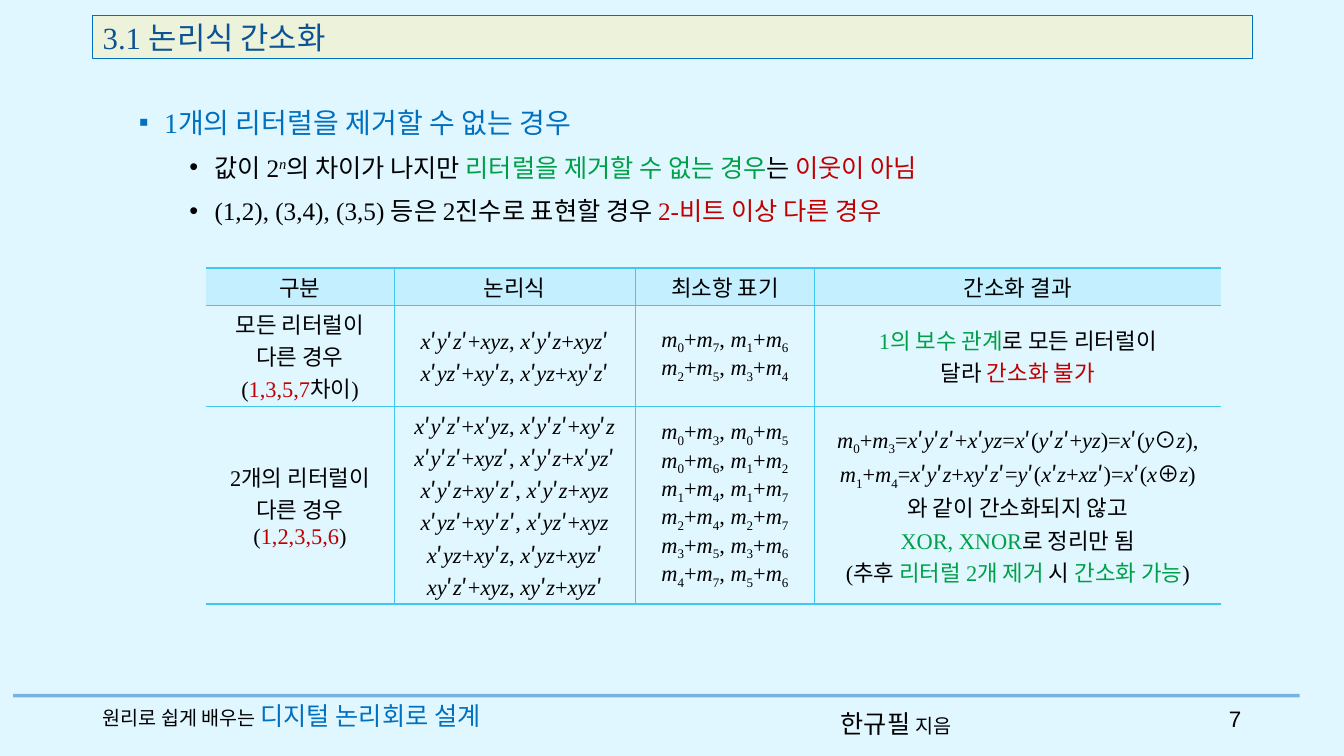
from itertools import groupby

from lxml.etree import SubElement
from pptx import Presentation
from pptx.dml.color import RGBColor
from pptx.enum.shapes import MSO_CONNECTOR, MSO_SHAPE
from pptx.enum.text import MSO_ANCHOR, PP_ALIGN
from pptx.oxml.ns import qn
from pptx.util import Inches, Pt

SERIF = "Times New Roman"
KOREAN = "Noto Sans CJK KR"
BLACK, BLUE, GREEN, RED = "000000", "0070C0", "00A048", "C00000"
RULE = "42C7F1"
THIN, THICK = 0.28, 1.7
TABLE_SIZE = 16

HEADINGS = ["구분", "논리식", "최소항 표기", "간소화 결과"]
ALL_DIFFERENT = [
    [
        [("모든 리터럴이", BLACK)],
        [("다른 경우", BLACK)],
        [("(", BLACK), ("1,3,5,7", RED), ("차이)", BLACK)],
    ],
    ["x′y′z′+xyz, x′y′z+xyz′", "x′yz′+xy′z, x′yz+xy′z′"],
    ["m0+m7, m1+m6", "m2+m5, m3+m4"],
    [
        [("1의 보수 관계", GREEN), ("로 모든 리터럴이", BLACK)],
        [("달라 ", BLACK), ("간소화 불가", RED)],
    ],
]
TWO_DIFFERENT = [
    [
        [("2개의 리터럴이", BLACK)],
        [("다른 경우", BLACK)],
        [("(", BLACK), ("1,2,3,5,6", RED), (")", BLACK)],
    ],
    [
        "x′y′z′+x′yz, x′y′z′+xy′z",
        "x′y′z′+xyz′, x′y′z+x′yz′",
        "x′y′z+xy′z′, x′y′z+xyz",
        "x′yz′+xy′z′, x′yz′+xyz",
        "x′yz+xy′z, x′yz+xyz′",
        "xy′z′+xyz, xy′z+xyz′",
    ],
    [
        "m0+m3, m0+m5",
        "m0+m6, m1+m2",
        "m1+m4, m1+m7",
        "m2+m4, m2+m7",
        "m3+m5, m3+m6",
        "m4+m7, m5+m6",
    ],
    [
        "m0+m3=x′y′z′+x′yz=x′(y′z′+yz)=x′(y⊙z),",
        "m1+m4=x′y′z+xy′z′=y′(x′z+xz′)=x′(x⊕z)",
        [("와 같이 간소화되지 않고", BLACK)],
        [("XOR, XNOR", GREEN), ("로 정리만 됨", BLACK)],
        [("(추후 ", BLACK), ("리터럴 2개 제거", GREEN), (" 시 ", BLACK),
         ("간소화 가능", GREEN), (")", BLACK)],
    ],
]


def rgb(value):
    """Turn a hex string into a colour."""
    return RGBColor.from_string(value)


def add_run(paragraph, text, size, colour, font=SERIF, italic=False, baseline=0):
    """Add one run, with the Korean font for its East Asian letters."""
    run = paragraph.add_run()
    run.text = text
    run.font.size = Pt(size)
    run.font.italic = italic
    run.font.color.rgb = rgb(colour)
    run.font.name = font
    properties = run.font._element
    SubElement(properties, qn("a:ea"), typeface=KOREAN)
    if baseline:
        properties.set("baseline", str(baseline * 1000))


def formula_part(character):
    """Name the part that a character plays in a formula."""
    if character in "′⊙⊕":
        return "symbol"
    if character.isdigit():
        return "index"
    return "variable" if character.isalpha() else "operator"


def add_formula(paragraph, formula):
    """Write a formula with italic variables and lowered indices."""
    for part, characters in groupby(formula, formula_part):
        add_run(paragraph, "".join(characters), TABLE_SIZE, BLACK,
                font=KOREAN if part == "symbol" else SERIF,
                italic=part == "variable",
                baseline=-25 if part == "index" else 0)


def add_label(slide, left, top, width, height, runs, font=SERIF, align=PP_ALIGN.LEFT):
    """Add a one-line text box from (text, size, colour) runs."""
    frame = slide.shapes.add_textbox(
        Inches(left), Inches(top), Inches(width), Inches(height)).text_frame
    frame.word_wrap = True
    paragraph = frame.paragraphs[0]
    paragraph.alignment = align
    for text, size, colour in runs:
        add_run(paragraph, text, size, colour, font)


def add_title(slide, text):
    """Add the framed title bar."""
    bar = slide.shapes.add_shape(
        MSO_SHAPE.RECTANGLE, Inches(0.92), Inches(0.15), Inches(11.5), Inches(0.43))
    bar.shadow.inherit = False
    bar.fill.solid()
    bar.fill.fore_color.rgb = rgb("EDF3DB")
    bar.line.color.rgb = rgb(BLUE)
    bar.line.width = Pt(0.75)
    bar.text_frame.vertical_anchor = MSO_ANCHOR.MIDDLE
    paragraph = bar.text_frame.paragraphs[0]
    paragraph.alignment = PP_ALIGN.LEFT
    add_run(paragraph, text, 22, "0B5394")


def add_bullet(paragraph, mark, indent):
    """Give a paragraph its bullet, hanging indent and spacing."""
    paragraph.line_spacing = 1.2
    paragraph.space_before = Pt(5)
    properties = paragraph._p.get_or_add_pPr()
    properties.set("marL", str(Inches(indent)))
    properties.set("indent", str(Inches(-0.25)))
    SubElement(properties, qn("a:buFont"), typeface="Arial")
    SubElement(properties, qn("a:buChar"), char=mark)


def add_points(slide):
    """Add the bulleted explanation."""
    frame = slide.shapes.add_textbox(
        Inches(0.78), Inches(0.93), Inches(11.64), Inches(1.54)).text_frame
    frame.word_wrap = True
    topic, neighbours, bits = (
        frame.paragraphs[0], frame.add_paragraph(), frame.add_paragraph())
    add_bullet(topic, "▪", 0.75)
    add_run(topic, "1개의 리터럴을 제거할 수 없는 경우", 20, BLUE)
    add_bullet(neighbours, "•", 1.25)
    add_run(neighbours, "값이 2", 18, BLACK)
    add_run(neighbours, "n", 18, BLACK, italic=True, baseline=30)
    for text, colour in [("의 차이가 나지만 ", BLACK), ("리터럴을 제거할 수 없는 경우", GREEN),
                         ("는 ", BLACK), ("이웃이 아님", RED)]:
        add_run(neighbours, text, 18, colour)
    add_bullet(bits, "•", 1.25)
    add_run(bits, "(1,2), (3,4), (3,5) 등은 2진수로 표현할 경우 ", 18, BLACK)
    add_run(bits, "2-비트 이상 다른 경우", 18, RED)


def set_border(cell, side, width):
    """Draw one side of a cell, or clear it when the width is zero."""
    edge = SubElement(cell._tc.get_or_add_tcPr(), qn("a:ln" + side), w=str(Pt(width)))
    if width:
        SubElement(SubElement(edge, qn("a:solidFill")), qn("a:srgbClr"), val=RULE)
    else:
        SubElement(edge, qn("a:noFill"))


def fill_cell(cell, lines):
    """Write centred lines, each a formula or a list of coloured runs."""
    cell.vertical_anchor = MSO_ANCHOR.MIDDLE
    cell.margin_left = cell.margin_right = Inches(0.07)
    cell.margin_top = cell.margin_bottom = Inches(0.02)
    for index, line in enumerate(lines):
        frame = cell.text_frame
        paragraph = frame.add_paragraph() if index else frame.paragraphs[0]
        paragraph.alignment = PP_ALIGN.CENTER
        if isinstance(line, str):
            add_formula(paragraph, line)
        else:
            for text, colour in line:
                add_run(paragraph, text, TABLE_SIZE, colour)


def add_cases(slide):
    """Add the table of cases that cannot be simplified."""
    rows = [[[[(heading, BLACK)]] for heading in HEADINGS], ALL_DIFFERENT, TWO_DIFFERENT]
    cases = slide.shapes.add_table(
        3, 4, Inches(2.04), Inches(2.66), Inches(10.07), Inches(3.33)).table
    cases.first_row = cases.horz_banding = False
    for column, width in zip(cases.columns, [1.87, 2.39, 1.78, 4.03]):
        column.width = Inches(width)
    for row, height in zip(cases.rows, [0.37, 1, 1.96]):
        row.height = Inches(height)
    for r, row in enumerate(rows):
        for c, lines in enumerate(row):
            cell = cases.cell(r, c)
            fill_cell(cell, lines)
            set_border(cell, "L", THIN if c > 0 else 0)
            set_border(cell, "R", THIN if c < 3 else 0)
            set_border(cell, "T", THIN if r > 0 else THICK)
            set_border(cell, "B", THIN if r < 2 else THICK)
            if r == 0:
                cell.fill.solid()
                cell.fill.fore_color.rgb = rgb("C4EFFF")
            else:
                cell.fill.background()


def add_footer(slide):
    """Add the footer rule, book title, author and page number."""
    rule = slide.shapes.add_connector(
        MSO_CONNECTOR.STRAIGHT, Inches(0.13), Inches(6.9), Inches(12.89), Inches(6.9))
    rule.line.color.rgb = rgb("0F6FC6")
    rule.line.width = Pt(2.5)
    colour = next(rule._element.spPr.iter(qn("a:srgbClr")))
    SubElement(colour, qn("a:alpha"), val="50000")
    SubElement(rule._element.spPr, qn("a:effectLst"))
    add_label(slide, 8.24, 6.98, 1.53, 0.4,
              [("한규필 ", 18, BLACK), ("지음", 14, BLACK)], KOREAN)
    add_label(slide, 11.79, 6.95, 0.62, 0.4, [("7", 16, BLACK)], "Arial", PP_ALIGN.RIGHT)
    add_label(slide, 0.92, 6.9, 4.63, 0.4,
              [("원리로 쉽게 배우는 ", 14, BLACK), ("디지털 논리회로 설계", 18, BLUE)])


def main():
    """Build and save the slide."""
    deck = Presentation()
    deck.slide_width, deck.slide_height = Inches(13.33), Inches(7.5)
    slide = deck.slides.add_slide(deck.slide_layouts[6])
    slide.background.fill.solid()
    slide.background.fill.fore_color.rgb = rgb("E1F7FF")
    add_footer(slide)
    add_title(slide, "3.1 논리식 간소화")
    add_points(slide)
    add_cases(slide)
    deck.save("out.pptx")


if __name__ == "__main__":
    main()
